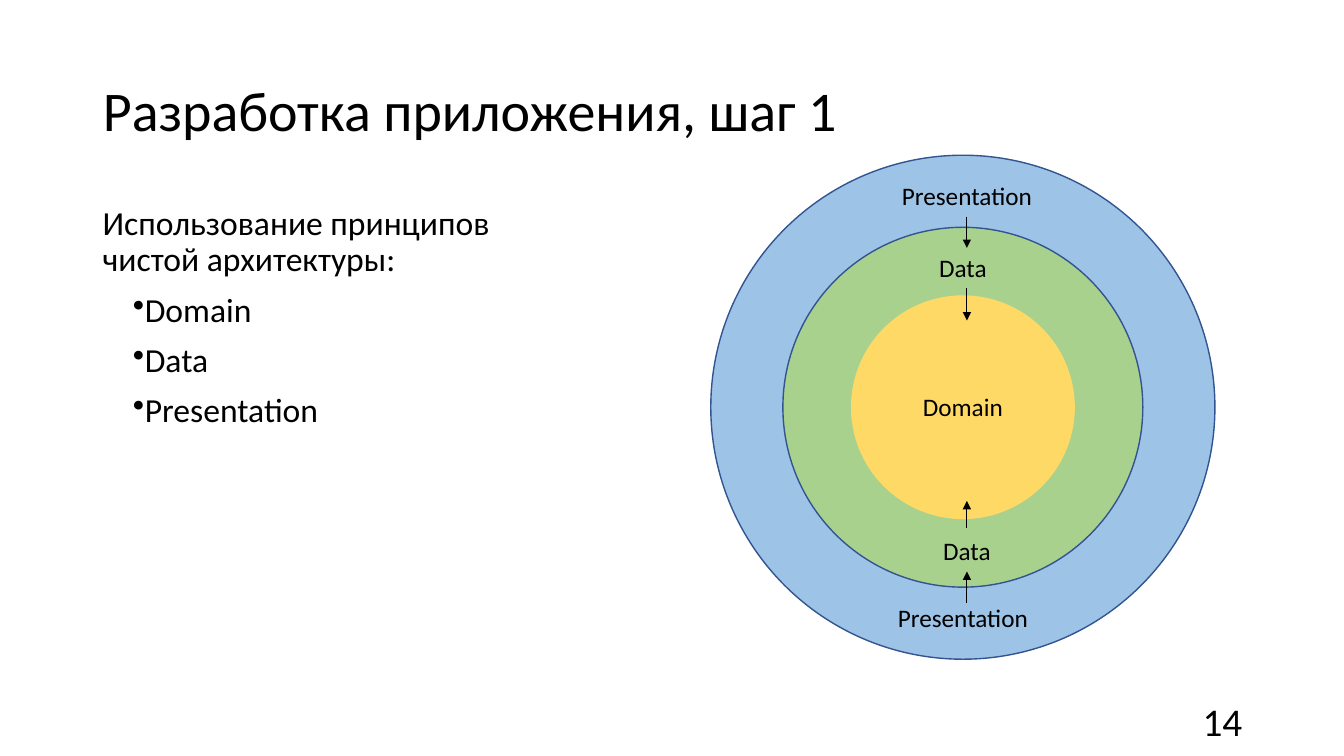
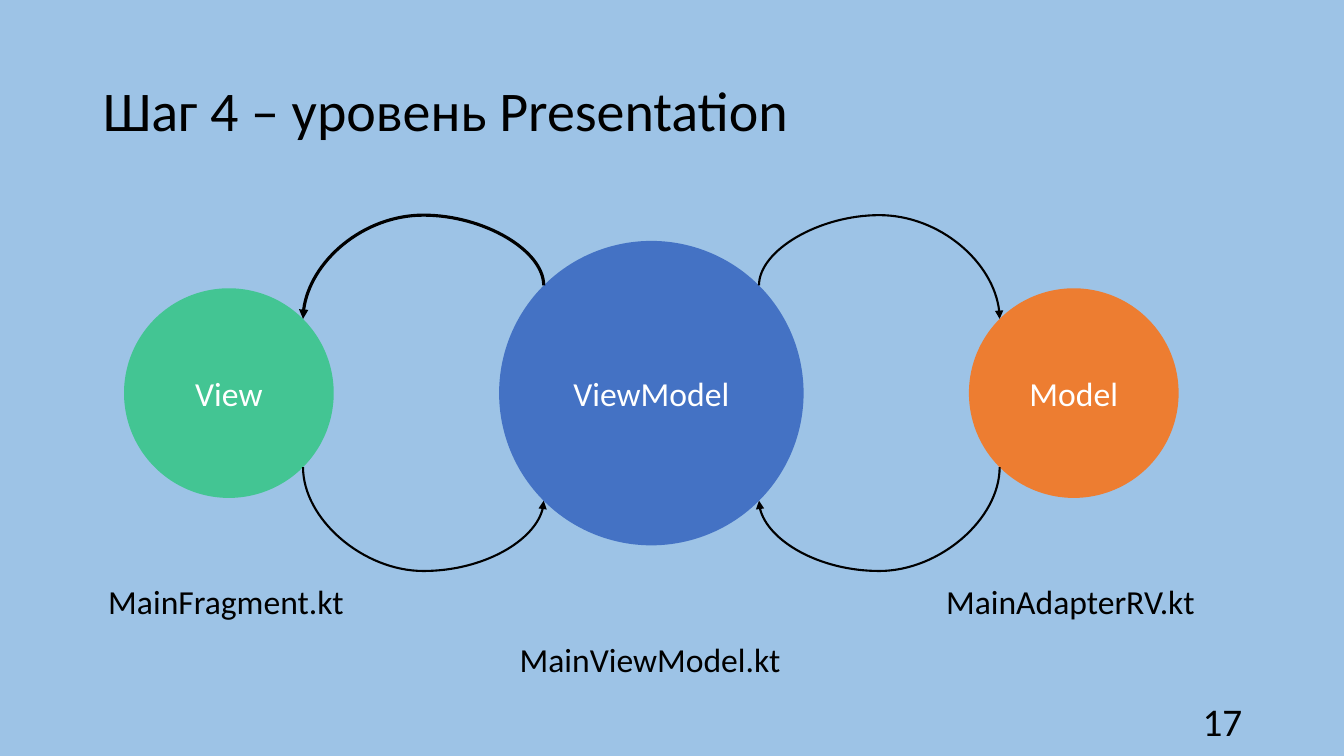
import dataclasses
import math

import lxml.etree
import pptx
import pptx.dml.color
import pptx.enum.shapes
import pptx.enum.text
import pptx.oxml.ns
import pptx.util

Inches = pptx.util.Inches
Pt = pptx.util.Pt
ALIGN = pptx.enum.text.PP_ALIGN
ANCHOR = pptx.enum.text.MSO_ANCHOR
CONNECTOR = pptx.enum.shapes.MSO_CONNECTOR


@dataclasses.dataclass(frozen=True)
class Theme:
    font: str = "Calibri"
    ink: str = "000000"
    white: str = "FFFFFF"
    blue: str = "9DC3E6"
    green: str = "A9D18E"
    yellow: str = "FFD966"
    ring_line: str = "325491"
    view: str = "43C593"
    view_model: str = "4472C4"
    model: str = "ED7D31"
    title_size: int = 40
    number_size: int = 28
    body_size: int = 24
    label_size: int = 18


THEME = Theme()


def rgb(color):
    return pptx.dml.color.RGBColor.from_string(color)


def add_xml(parent, tag, **attributes):
    return lxml.etree.SubElement(parent, pptx.oxml.ns.qn(tag), attributes)


def place(shape, left, top, width, height):
    shape.left, shape.top = Inches(left), Inches(top)
    shape.width, shape.height = Inches(width), Inches(height)


def style(paragraph, size, color=THEME.ink, align=ALIGN.LEFT):
    paragraph.alignment = align
    paragraph.font.name = THEME.font
    paragraph.font.size = Pt(size)
    paragraph.font.color.rgb = rgb(color)


def add_text(slide, text, box, size, align=ALIGN.LEFT, anchor=ANCHOR.TOP):
    frame = slide.shapes.add_textbox(*map(Inches, box)).text_frame
    frame.word_wrap = True
    frame.vertical_anchor = anchor
    frame.text = text
    for paragraph in frame.paragraphs:
        style(paragraph, size, align=align)
    return frame


def add_circle(slide, center_x, center_y, diameter, color, outline=None, text=""):
    circle = slide.shapes.add_shape(
        pptx.enum.shapes.MSO_SHAPE.OVAL,
        Inches(center_x - diameter / 2), Inches(center_y - diameter / 2),
        Inches(diameter), Inches(diameter))
    circle.shadow.inherit = False
    circle.fill.solid()
    circle.fill.fore_color.rgb = rgb(color)
    if outline:
        circle.line.color.rgb = rgb(outline)
        circle.line.width = Pt(1)
    else:
        circle.line.fill.background()
    if text:
        frame = circle.text_frame
        frame.text = text
        frame.vertical_anchor = ANCHOR.MIDDLE
        style(frame.paragraphs[0], THEME.body_size, THEME.white, ALIGN.CENTER)


def add_arrow(slide, kind, start, end, weight, head="a:tailEnd"):
    arrow = slide.shapes.add_connector(kind, *map(Inches, (*start, *end)))
    arrow.line.color.rgb = rgb(THEME.ink)
    arrow.line.width = Pt(weight)
    add_xml(arrow.line._get_or_add_ln(), head, type="triangle")
    add_xml(arrow._element.spPr, "a:effectLst")
    return arrow


def add_arc(slide, outer, inner, rise, weight, head):
    """Curve from outer to inner that bulges vertically by rise beyond outer."""
    (outer_x, outer_y), (inner_x, inner_y) = outer, inner
    on_left, on_top = outer_x < inner_x, inner_y < outer_y
    # The preset bulges sideways, so it is laid out upright and then turned.
    middle_x, middle_y = (outer_x + inner_x) / 2, (outer_y + inner_y) / 2
    span, length = abs(inner_y - outer_y), abs(inner_x - outer_x)
    half_x = span / 2 * (1 if on_left else -1)
    half_y = length / 2 * (1 if on_top else -1)
    arc = add_arrow(slide, CONNECTOR.CURVE,
                    (middle_x + half_x, middle_y + half_y),
                    (middle_x - half_x, middle_y - half_y), weight, head)
    properties = arc._element.spPr
    quarter_turns = 1 if on_left == on_top else 3
    properties.find(pptx.oxml.ns.qn("a:xfrm")).set("rot", str(quarter_turns * 5400000))
    geometry = properties.find(pptx.oxml.ns.qn("a:prstGeom"))
    guides = geometry.find(pptx.oxml.ns.qn("a:avLst"))
    if guides is None:
        guides = add_xml(geometry, "a:avLst")
    add_xml(guides, "a:gd", name="adj1", fmla=f"val {round(rise / span * 100000)}")


def add_slide(deck, title, number, background=THEME.white):
    slide = deck.slides.add_slide(deck.slide_layouts[5])
    slide.background.fill.solid()
    slide.background.fill.fore_color.rgb = rgb(background)
    heading = slide.shapes.title
    place(heading, 0.92, 0.4, 11.5, 1.45)
    heading.text_frame.text = title
    heading.text_frame.vertical_anchor = ANCHOR.MIDDLE
    heading.text_frame.paragraphs[0].line_spacing = 0.9
    style(heading.text_frame.paragraphs[0], THEME.title_size)
    add_text(slide, str(number), (9.42, 6.95, 3, 0.4), THEME.number_size,
             ALIGN.RIGHT, ANCHOR.MIDDLE)
    return slide


def add_principles(slide, box, lead, layers):
    frame = add_text(slide, "\n".join([lead, *layers]), box, THEME.body_size)
    for paragraph in frame.paragraphs:
        paragraph.line_spacing = 0.9
        paragraph.space_before = Pt(10)
    for paragraph in frame.paragraphs[1:]:
        properties = paragraph._p.get_or_add_pPr()
        properties.set("marL", str(Inches(0.3)))
        properties.set("indent", "0")
        add_xml(properties, "a:buChar", char="•")


def add_layer_rings(slide, left, top, size):
    center_x, center_y = left + size / 2, top + size / 2
    nudge = 0.04
    for diameter, color, outline in (
            (size, THEME.blue, THEME.ring_line),
            (3.57, THEME.green, THEME.ring_line),
            (2.22, THEME.yellow, None)):
        add_circle(slide, center_x, center_y, diameter, color, outline)
    label_width = 1.51
    for layer, shift, offset in (
            ("Presentation", nudge, 0.2), ("Data", 0, 0.91), ("Domain", 0, 2.29),
            ("Data", nudge, 3.72), ("Presentation", 0, 4.39)):
        box = (center_x + shift - label_width / 2, top + offset, label_width, 0.4)
        add_text(slide, layer, box, THEME.label_size, ALIGN.CENTER)
    arrow_x = center_x + nudge
    for start, end in ((0.61, 0.92), (1.32, 1.64), (3.7, 3.43), (4.44, 4.13)):
        add_arrow(slide, CONNECTOR.STRAIGHT, (arrow_x, top + start),
                  (arrow_x, top + end), 0.75)


def add_mvvm(slide, left, top, width):
    hub_size, side_size = 3.02, 2.08
    center_y = top + hub_size / 2
    hub_x = left + width / 2
    view_x, model_x = left + side_size / 2, left + width - side_size / 2
    for name, x, size, color, file_name, caption_top, caption_width in (
            ("View", view_x, side_size, THEME.view, "MainFragment.kt", 3.32, 2.59),
            ("ViewModel", hub_x, hub_size, THEME.view_model, "MainViewModel.kt", 3.9, 2.81),
            ("Model", model_x, side_size, THEME.model, "MainAdapterRV.kt", 3.32, 2.73)):
        add_circle(slide, x, center_y, size, color, text=name)
        add_text(slide, file_name,
                 (x - caption_width / 2, top + caption_top, caption_width, 0.5),
                 THEME.body_size)

    diagonal = math.sqrt(0.5)
    side_reach, hub_reach = side_size / 2 * diagonal, hub_size / 2 * diagonal
    for side_x, toward_hub, upper_weight in ((view_x, 1, 2.25), (model_x, -1, 1.5)):
        for vertical, weight, head in ((-1, upper_weight, "a:headEnd"),
                                       (1, 1.5, "a:tailEnd")):
            add_arc(slide,
                    (side_x + toward_hub * side_reach, center_y + vertical * side_reach),
                    (hub_x - toward_hub * hub_reach, center_y + vertical * hub_reach),
                    1.03, weight, head)


def main():
    deck = pptx.Presentation()
    deck.slide_width, deck.slide_height = Inches(13.33), Inches(7.5)

    architecture = add_slide(deck, "Разработка приложения, шаг 1", 14)
    add_principles(architecture, (0.92, 2, 5.05, 4.76),
                   "Использование принципов чистой архитектуры:",
                   ("Domain", "Data", "Presentation"))
    add_layer_rings(architecture, 7.05, 1.54, 5)

    presentation_layer = add_slide(deck, "Шаг 4 – уровень Presentation", 17, THEME.blue)
    add_mvvm(presentation_layer, 1.23, 2.39, 10.46)

    deck.save("out.pptx")


if __name__ == "__main__":
    main()
